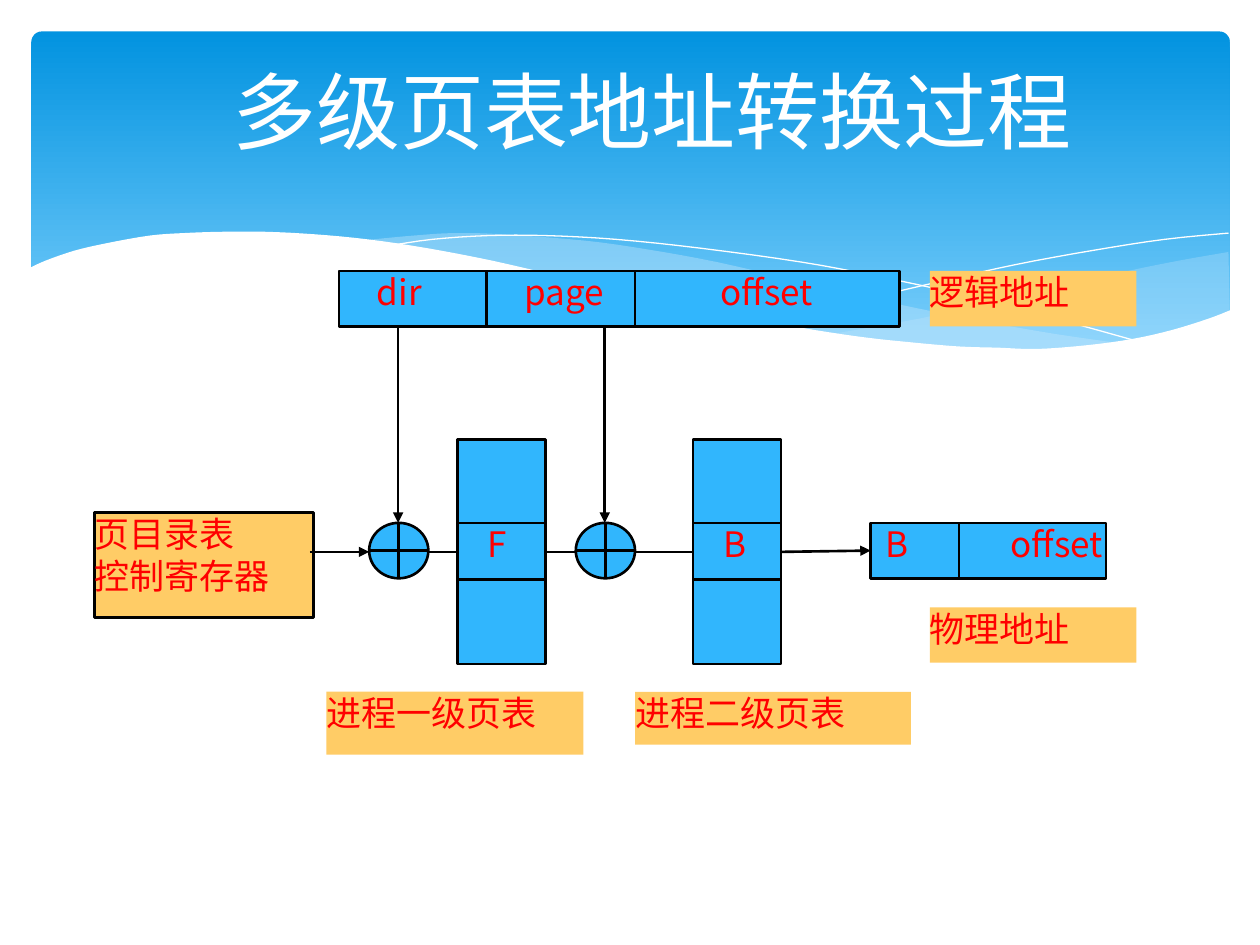
from lxml import etree
from pptx import Presentation
from pptx.dml.color import RGBColor
from pptx.enum.shapes import MSO_CONNECTOR, MSO_SHAPE
from pptx.enum.text import MSO_ANCHOR, PP_ALIGN
from pptx.oxml.ns import qn
from pptx.util import Pt

RECT, ROUND, OR = MSO_SHAPE.RECTANGLE, MSO_SHAPE.ROUNDED_RECTANGLE, MSO_SHAPE.FLOWCHART_OR
STRAIGHT = MSO_CONNECTOR.STRAIGHT
CENTER, JUSTIFY = PP_ALIGN.CENTER, PP_ALIGN.JUSTIFY
MIDDLE, TOP = MSO_ANCHOR.MIDDLE, MSO_ANCHOR.TOP

PX = 9144  # 100 px to the inch
FONT = "Noto Sans CJK JP"
BLUE, ORANGE, RED, BLACK, WHITE, PALE = "31B6FD", "FFCC66", "FF0000", "000000", "FFFFFF", "C6E7FC"
rgb = RGBColor.from_string

prs = Presentation()
prs.slide_width, prs.slide_height = 1000 * PX, 750 * PX
s = prs.slides.add_slide(prs.slide_layouts[5])


def write(sp, lines, size, color, align, tabs=()):
    """Fill a shape with one paragraph per line, with tab stops in px."""
    tf = sp.text_frame
    tf.word_wrap = True
    for i, line in enumerate(lines):
        p = tf.paragraphs[0] if i == 0 else tf.add_paragraph()
        p.alignment = align
        if tabs:
            tab_list = etree.SubElement(p._p.get_or_add_pPr(), qn("a:tabLst"))
            for pos in tabs:
                etree.SubElement(tab_list, qn("a:tab"), pos=str(pos * PX), algn="l")
        r = p.add_run()
        r.text = line
        r.font.size, r.font.name = Pt(size), FONT
        r.font.color.rgb = rgb(color)
        etree.SubElement(r._r.get_or_add_rPr(), qn("a:ea"), typeface=FONT)


def box(x, y, w, h, fill, outlined=True, lines=(), tabs=(), kind=RECT):
    sp = s.shapes.add_shape(kind, x * PX, y * PX, w * PX, h * PX)
    sp.shadow.inherit = False
    sp.fill.solid()
    sp.fill.fore_color.rgb = rgb(fill)
    if outlined:
        sp.line.color.rgb = rgb(BLACK)
        sp.line.width = Pt(1.5)
    else:
        sp.line.fill.background()
    tf = sp.text_frame
    tf.margin_left = tf.margin_top = tf.margin_right = tf.margin_bottom = 0
    tf.vertical_anchor = TOP
    write(sp, lines, 20, RED, JUSTIFY, tabs)
    return sp


# Banner with its waves
banner = box(25, 25, 951, 270, BLUE, False, kind=ROUND)
banner.adjustments[0] = 0.03
banner.fill.gradient()
banner.fill.gradient_angle = 270
for stop, color in zip(banner.fill.gradient_stops, ("0293E0", "83D3FE")):
    stop.color.rgb = rgb(color)

# Each wave: opacity in percent (None for an open hairline) and its smooth edges
WAVES = [
    (29, [[(975, 200), (935, 207), (891, 216), (832, 230), (779, 242), (729, 253), (661, 265)],
          [(661, 265), (705, 271), (745, 275), (781, 277), (814, 278), (854, 276),
           (889, 272), (921, 265), (949, 257), (976, 247)]]),
    (40, [[(893, 273), (837, 265), (775, 254), (706, 240), (629, 222), (569, 208), (514, 198),
           (464, 191), (399, 186), (361, 185), (328, 187), (286, 191)],
          [(286, 191), (342, 199), (404, 211), (449, 222), (530, 240), (601, 255), (665, 266),
           (722, 274), (773, 278), (818, 279), (857, 277), (893, 273)]]),
    (None, [[(309, 195), (343, 190), (387, 187), (433, 187), (489, 190), (556, 197), (636, 208),
             (695, 219), (760, 233), (831, 251), (907, 272)]]),
    (None, [[(613, 257), (672, 241), (748, 223), (806, 210), (866, 199), (924, 190), (975, 185)]]),
    (100, [[(23, 213), (36, 207), (59, 199), (85, 193), (119, 187), (146, 185), (176, 184),
            (211, 184), (250, 186), (292, 190), (339, 197), (391, 207), (447, 220), (503, 233),
            (555, 245), (603, 254), (647, 262), (688, 268), (726, 272), (761, 275), (793, 276),
            (823, 277), (863, 274), (899, 269), (930, 262), (959, 253), (977, 246)],
           [(977, 329), (23, 329)]]),
]
STEPS = 4
for opacity, edges in WAVES:
    points = []
    for edge in edges:
        # Catmull-Rom curve through the knots of the edge
        knots = [edge[0], *edge, edge[-1]]
        for a, b, c, d in zip(knots, knots[1:], knots[2:], knots[3:]):
            for t in (i / STEPS for i in range(STEPS)):
                points.append([PX * (2 * q + (r - p) * t + (2 * p - 5 * q + 4 * r - u) * t**2
                                     + (3 * q - p - 3 * r + u) * t**3) / 2
                               for p, q, r, u in zip(a, b, c, d)])
        points.append([PX * v for v in edge[-1]])
    builder = s.shapes.build_freeform(*points[0])
    builder.add_line_segments(points[1:], close=opacity is not None)
    wave = builder.convert_to_shape()
    wave.shadow.inherit = False
    if opacity is None:
        wave.fill.background()
        wave.line.color.rgb = rgb(WHITE)
        wave.line.width = 0
        continue
    wave.line.fill.background()
    wave.fill.solid()
    wave.fill.fore_color.rgb = rgb(WHITE if opacity == 100 else PALE)
    if opacity < 100:
        color_el = wave.element.spPr.find(qn("a:solidFill"))[0]
        etree.SubElement(color_el, qn("a:alpha"), val=str(opacity * 1000))

# Title, brought in front of the banner
title = s.shapes.title
title.left, title.top, title.width, title.height = 100 * PX, 25 * PX, 850 * PX, 125 * PX
title.text_frame.vertical_anchor = MIDDLE
write(title, ["多级页表地址转换过程 "], 48, WHITE, CENTER)
title.element.getparent().append(title.element)

# Address fields, page tables and register
ROW, CELL_H = 415, 44
AXIS = ROW + CELL_H // 2 + 1
box(269, 215, 445, CELL_H, BLUE, lines=["\tdir\tpage\toffset"], tabs=(30, 147, 303))
physical = box(691, ROW, 187, CELL_H, BLUE, lines=["\tB\toffset"], tabs=(12, 111))
box(75, 407, 174, 83, ORANGE, lines=["页目录表", "控制寄存器"])

rules = [(386, 215, 386, 260), (504, 215, 504, 260), (761, ROW, 761, 460)]
tables = []
for x, entry in ((363, "F"), (550, "B")):
    tables.append(box(x, 349, 70, 178, BLUE))
    box(x + 24, ROW, 23, CELL_H, BLUE, False, [entry])
    rules += [(x, y, x + 70, y) for y in (ROW, 460)]
first, second = tables

for x, y, w, h, label in [
    (259, 549, 204, 50, "进程一级页表"),
    (504, 549, 219, 42, "进程二级页表"),
    (738, 482, 164, CELL_H, "物理地址"),
    (738, 215, 164, CELL_H, "逻辑地址"),
]:
    box(x, y, w, h, ORANGE, False, [label])

# Lines: ends, arrowhead, joined shape and side at either end
LINES = [(ends, False, None, None) for ends in rules] + [
    ((340, AXIS, 363, AXIS), False, None, (first, 1)),
    ((433, AXIS, 457, AXIS), False, (first, 3), None),
    ((504, AXIS, 550, AXIS), False, None, (second, 1)),
    ((620, AXIS, 691, AXIS), True, (second, 3), (physical, 1)),
    ((316, 260, 316, ROW), True, None, None),
    ((480, 260, 480, ROW), True, None, None),
    ((246, AXIS, 293, AXIS), True, None, None),
]
for ends, arrow, begin, end in LINES:
    line = s.shapes.add_connector(STRAIGHT, *(v * PX for v in ends))
    if begin:
        line.begin_connect(*begin)
    if end:
        line.end_connect(*end)
    line.line.color.rgb = rgb(BLACK)
    line.line.width = Pt(1.5)
    if arrow:
        etree.SubElement(line.line._get_or_add_ln(), qn("a:tailEnd"), type="triangle")
    etree.SubElement(line.element.spPr, qn("a:effectLst"))

# Adders
for x in (293, 457):
    box(x, ROW, 47, CELL_H, BLUE, kind=OR)

prs.save("out.pptx")
